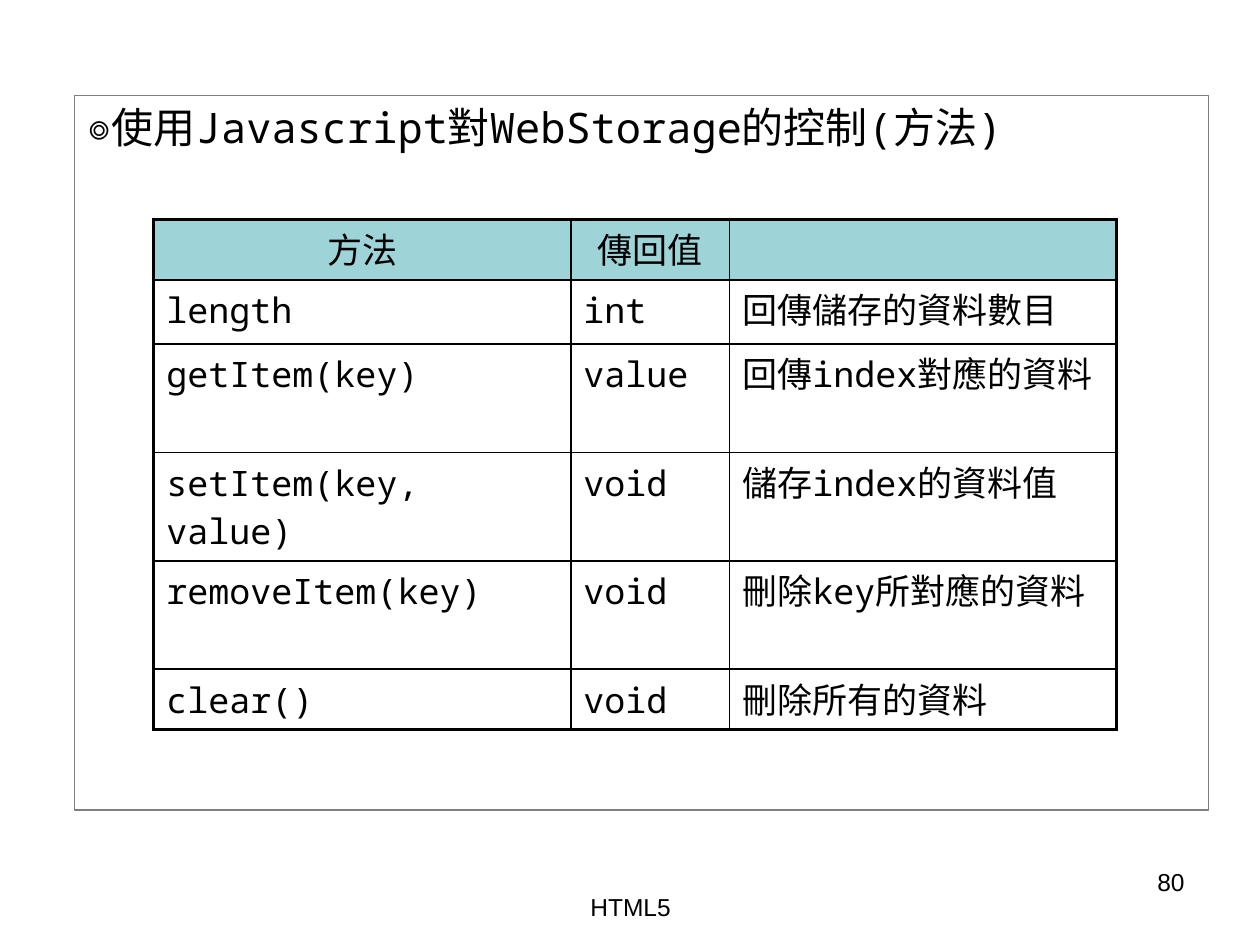
import pptx
import pptx.util
import pptx.dml.color
import pptx.enum.shapes
import pptx.enum.text
import pptx.oxml.ns
import lxml.etree

Inches = pptx.util.Inches
ALIGN = pptx.enum.text.PP_ALIGN
MONO = "Noto Sans Mono"
INK = "000000"
ROWS = [
    ("方法", "傳回值", ""),
    ("length", "int", "回傳儲存的資料數目"),
    ("getItem(key)", "value", "回傳index對應的資料"),
    ("setItem(key, value)", "void", "儲存index的資料值"),
    ("removeItem(key)", "void", "刪除key所對應的資料"),
    ("clear()", "void", "刪除所有的資料"),
]
WIDTHS = (3.31, 1.26, 3.07)
HEIGHTS = (0.43, 0.51, 0.51, 0.51, 0.51, 0.43)


def color(code):
    """Turn a hex string into a colour."""
    return pptx.dml.color.RGBColor.from_string(code)


def write(frame, text, size, face, align=ALIGN.LEFT):
    """Fill a text frame with one styled paragraph."""
    frame.word_wrap = True
    frame.text = text
    para = frame.paragraphs[0]
    para.alignment = align
    for run in para.runs:
        run.font.size = pptx.util.Pt(size)
        run.font.color.rgb = color(INK)
        run.font.name = face
        east = lxml.etree.SubElement(run.font._element, pptx.oxml.ns.qn("a:ea"))
        east.set("typeface", face)


def panel(slide, text):
    """Draw the outlined panel with its heading."""
    box = slide.shapes.add_shape(
        pptx.enum.shapes.MSO_SHAPE.RECTANGLE,
        Inches(0.59), Inches(0.76), Inches(9), Inches(5.67))
    box.shadow.inherit = False
    box.fill.background()
    box.line.color.rgb = color("7F7F7F")
    box.line.width = pptx.util.Pt(0.75)
    frame = box.text_frame
    frame.vertical_anchor = pptx.enum.text.MSO_ANCHOR.TOP
    write(frame, text, 24, MONO)
    props = frame.paragraphs[0]._p.get_or_add_pPr()
    props.set("marL", str(Inches(0.38)))
    props.set("indent", str(-Inches(0.38)))


def border(cell, outer):
    """Line a cell, with thick lines on its outer sides."""
    props = cell._tc.get_or_add_tcPr()
    for spot, side in enumerate("LRTB"):
        width = pptx.util.Pt(2.25 if side in outer else 1)
        line = lxml.etree.Element(pptx.oxml.ns.qn("a:ln" + side), w=str(width))
        fill = lxml.etree.SubElement(line, pptx.oxml.ns.qn("a:solidFill"))
        lxml.etree.SubElement(fill, pptx.oxml.ns.qn("a:srgbClr"), val=INK)
        props.insert(spot, line)


def grid(slide):
    """Build the table of methods."""
    table = slide.shapes.add_table(
        len(ROWS), len(WIDTHS), Inches(1.22), Inches(1.74),
        Inches(sum(WIDTHS)), Inches(sum(HEIGHTS))).table
    table.first_row = table.horz_banding = False
    for col, width in zip(table.columns, WIDTHS):
        col.width = Inches(width)
    for row, height in zip(table.rows, HEIGHTS):
        row.height = Inches(height)
    for r, texts in enumerate(ROWS):
        for c, text in enumerate(texts):
            cell = table.cell(r, c)
            write(cell.text_frame, text, 20, MONO, ALIGN.LEFT if r else ALIGN.CENTER)
            if r:
                cell.fill.background()
            else:
                cell.fill.solid()
                cell.fill.fore_color.rgb = color("9ED3D7")
            ends = {"L": c == 0, "R": c == len(WIDTHS) - 1,
                    "T": r == 0, "B": r == len(ROWS) - 1}
            border(cell, [side for side in ends if ends[side]])


def label(slide, text, left, top, width, height, align):
    """Add a small footer text."""
    box = slide.shapes.add_textbox(
        Inches(left), Inches(top), Inches(width), Inches(height))
    write(box.text_frame, text, 14, "Arial", align)


def main():
    """Build and save the slide."""
    deck = pptx.Presentation()
    deck.slide_width, deck.slide_height = Inches(10), Inches(7.5)
    slide = deck.slides.add_slide(deck.slide_layouts[6])
    panel(slide, "◎使用Javascript對WebStorage的控制(方法)")
    grid(slide)
    label(slide, "80", 7.17, 6.83, 2.33, 0.52, ALIGN.RIGHT)
    label(slide, "HTML5", 3.42, 7.03, 3.17, 0.5, ALIGN.CENTER)
    deck.save("out.pptx")


if __name__ == "__main__":
    main()
